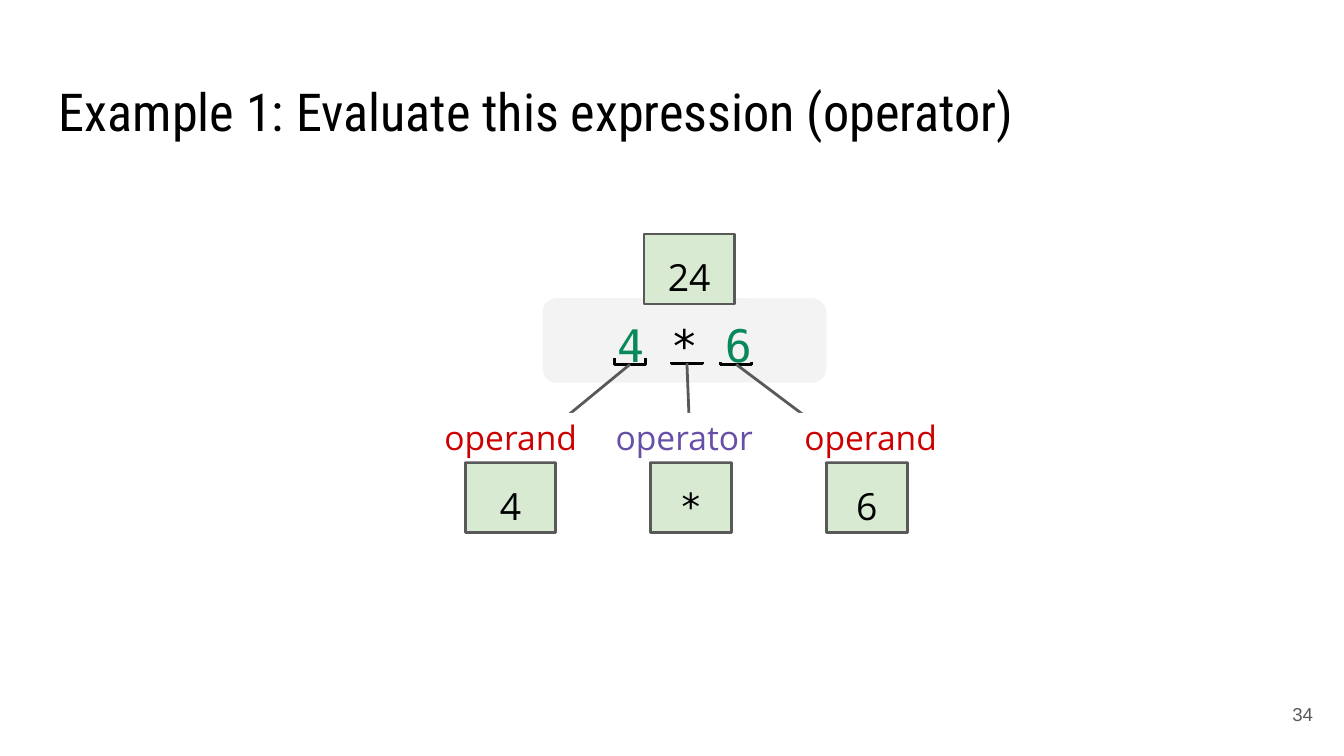
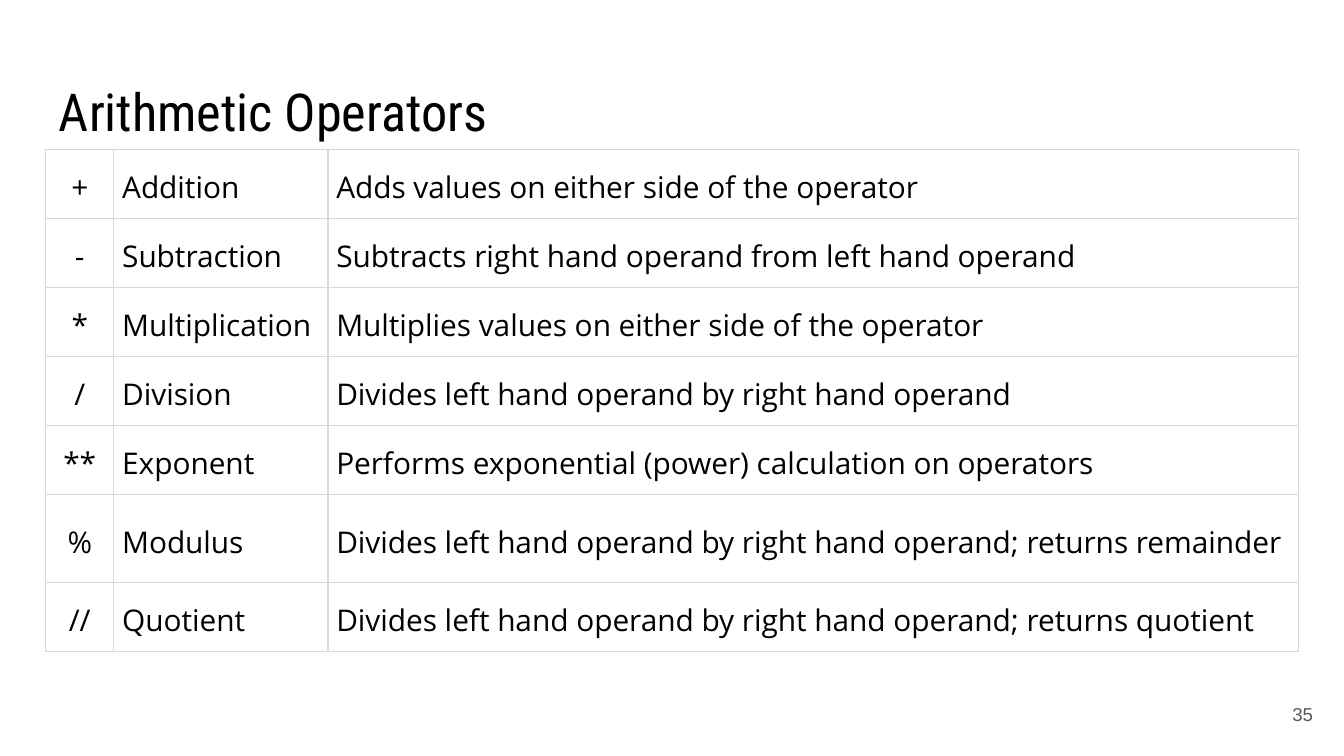
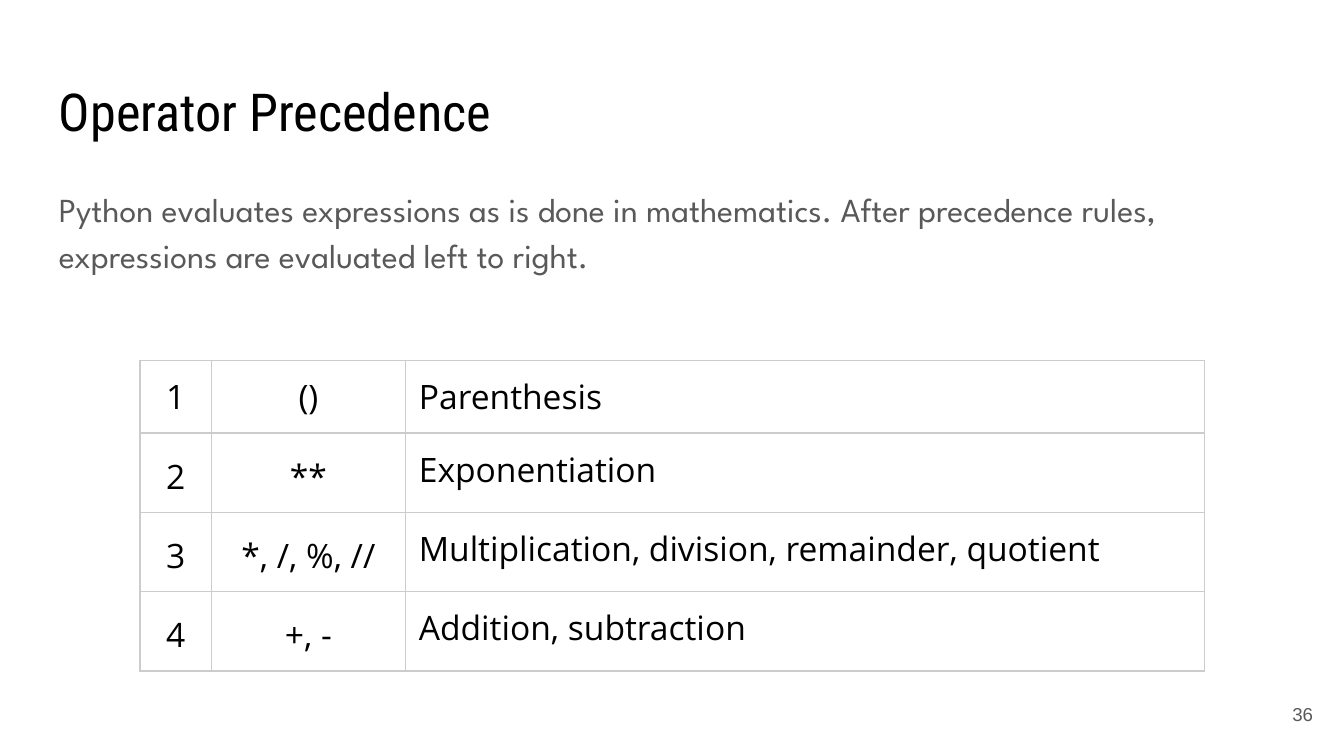
from lxml import etree
from pptx import Presentation
from pptx.dml.color import RGBColor
from pptx.enum.shapes import MSO_CONNECTOR, MSO_SHAPE
from pptx.enum.text import MSO_ANCHOR, PP_ALIGN
from pptx.oxml.ns import qn
from pptx.util import Pt

RECT, ROUND = MSO_SHAPE.RECTANGLE, MSO_SHAPE.ROUNDED_RECTANGLE
BRACKET = MSO_SHAPE.RIGHT_BRACKET
STRAIGHT = MSO_CONNECTOR.STRAIGHT
LEFT, CENTER, RIGHT = PP_ALIGN.LEFT, PP_ALIGN.CENTER, PP_ALIGN.RIGHT
TOP, MIDDLE = MSO_ANCHOR.TOP, MSO_ANCHOR.MIDDLE

# Shared style
BLACK, WHITE, GRAY = "000000", "FFFFFF", "595959"
PALE_GRAY, PALE_GREEN = "F3F3F3", "D9EAD3"
GREEN, RED, PURPLE = "09885A", "CC0000", "674EA7"
HEAD, BODY, SANS, MONO = "Roboto Condensed", "League Spartan", "Open Sans", "DejaVu Sans Mono"
MARGIN, CONTENT_W = 24.5, 671
INSET = 7.2
LINE_W = 1.5


def rgb(color):
    return RGBColor.from_string(color)


def write(tf, text, size=18, font=SANS, color=BLACK, align=LEFT, anchor=TOP,
          spacing=1.0, before=0, after=0, inset=INSET):
    """Fill a frame with one paragraph; text is a string or (text, color) runs."""
    tf.word_wrap = True
    tf.vertical_anchor = anchor
    tf.margin_left = tf.margin_right = tf.margin_top = tf.margin_bottom = Pt(inset)
    p = tf.paragraphs[0]
    p.alignment, p.line_spacing = align, spacing
    p.space_before, p.space_after = Pt(before), Pt(after)
    for part, part_color in [(text, color)] if isinstance(text, str) else text:
        r = p.add_run()
        r.text = part
        r.font.size, r.font.name = Pt(size), font
        r.font.color.rgb = rgb(part_color)


class Deck:
    def __init__(self):
        self.prs = Presentation()
        self.prs.slide_width, self.prs.slide_height = Pt(720), Pt(405)
        self.s = None

    def slide(self, title, number):
        self.s = self.prs.slides.add_slide(self.prs.slide_layouts[6])
        self.s.background.fill.solid()
        self.s.background.fill.fore_color.rgb = rgb(WHITE)
        self.text(MARGIN, 35.3, CONTENT_W, 45.2, title, size=28, font=HEAD)
        self.text(667.3, 367.2, 43.2, 31, str(number), size=10, font="Arial",
                  color=GRAY, align=RIGHT, anchor=MIDDLE)

    def text(self, x, y, w, h, text, **fmt):
        sp = self.s.shapes.add_textbox(Pt(x), Pt(y), Pt(w), Pt(h))
        write(sp.text_frame, text, **fmt)

    def shape(self, kind, x, y, w, h, fill=None, line=None, text=None, **fmt):
        sp = self.s.shapes.add_shape(kind, Pt(x), Pt(y), Pt(w), Pt(h))
        sp.shadow.inherit = False
        if fill:
            sp.fill.solid()
            sp.fill.fore_color.rgb = rgb(fill)
        else:
            sp.fill.background()
        if line:
            sp.line.color.rgb, sp.line.width = rgb(line), Pt(LINE_W)
        else:
            sp.line.fill.background()
        if text:
            write(sp.text_frame, text, align=CENTER, **fmt)
        return sp

    def value_box(self, x, y, w, text, font=SANS):
        return self.shape(RECT, x, y, w, 37.5, PALE_GREEN, GRAY, text,
                          size=20, font=font, spacing=1.15)

    def bracket(self, cx, bottom, depth, width=16.6):
        """Bracket under a token, turned so that it opens upwards."""
        sp = self.shape(BRACKET, cx - depth / 2, bottom - depth / 2 - width / 2,
                        depth, width, line=BLACK)
        sp.adjustments[0] = 0
        sp.rotation = 90

    def line_to_top(self, x, y, box):
        c = self.s.shapes.add_connector(STRAIGHT, Pt(x), Pt(y), Pt(x), Pt(y))
        c.end_connect(box, 0)
        c.line.color.rgb, c.line.width = rgb(GRAY), Pt(LINE_W)
        etree.SubElement(c._element.spPr, qn("a:effectLst"))

    def table(self, x, y, cols, heights, rows, border, aligns, spacing, **fmt):
        """spacing(row, col) gives the line spacing of a cell."""
        frame = self.s.shapes.add_table(len(rows), len(cols), Pt(x), Pt(y),
                                        Pt(sum(cols)), Pt(sum(heights)))
        tbl = frame.table
        tbl.first_row = tbl.horz_banding = False
        for col, w in zip(tbl.columns, cols):
            col.width = Pt(w)
        for row, h in zip(tbl.rows, heights):
            row.height = Pt(h)
        for i, row in enumerate(rows):
            for j, text in enumerate(row):
                cell = tbl.cell(i, j)
                write(cell.text_frame, text, align=aligns[j],
                      spacing=spacing(i, j), **fmt)
                self.cell_style(cell, border, fmt)

    def cell_style(self, cell, border, fmt):
        inset = Pt(fmt.get("inset", INSET))
        cell.margin_left = cell.margin_right = inset
        cell.margin_top = cell.margin_bottom = inset
        cell.vertical_anchor = fmt.get("anchor", TOP)
        tc_pr = cell._tc.get_or_add_tcPr()
        for side in ("lnL", "lnR", "lnT", "lnB"):
            ln = etree.SubElement(tc_pr, qn(f"a:{side}"), w=str(Pt(0.75)))
            fill = etree.SubElement(ln, qn("a:solidFill"))
            etree.SubElement(fill, qn("a:srgbClr"), val=border)
        cell.fill.background()


def expression_slide(d):
    d.slide("Example 1: Evaluate this expression (operator)", 34)
    d.shape(ROUND, 290.7, 159.8, 152, 45.2, PALE_GRAY,
            text=[("4 ", GREEN), ("* ", BLACK), ("6", GREEN)],
            size=24, font=MONO, anchor=MIDDLE, spacing=1.15)
    d.value_box(345, 125.4, 48.4, "24")

    # Each token: bracket centre, bottom and depth; box left and width; label centre
    tokens = [
        (337.5, 195.2, 3.6, 249.3, 48.4, "4", SANS, "operand", RED, 273.6),
        (394.4, 195.2, 1.4, 442.7, 43.4, "6", SANS, "operand", RED, 466.4),
        (368, 194.6, 0.7, 348.4, 43.4, "*", MONO, "operator", PURPLE, 366.6),
    ]
    label_w = 95
    for cx, bottom, depth, x, w, value, font, role, color, label_cx in tokens:
        d.bracket(cx, bottom, depth)
        box = d.value_box(x, 247.8, w, value, font)
        d.line_to_top(cx, bottom, box)
        d.shape(RECT, label_cx - label_w / 2, 221.2, label_w, 26, WHITE,
                text=role, color=color, anchor=MIDDLE)


def operators_slide(d):
    d.slide("Arithmetic Operators", 35)
    rows = [
        ("+", "Addition", "Adds values on either side of the operator"),
        ("-", "Subtraction", "Subtracts right hand operand from left hand operand"),
        ("*", "Multiplication", "Multiplies values on either side of the operator"),
        ("/", "Division", "Divides left hand operand by right hand operand"),
        ("**", "Exponent", "Performs exponential (power) calculation on operators"),
        ("%", "Modulus", "Divides left hand operand by right hand operand; returns remainder"),
        ("//", "Quotient", "Divides left hand operand by right hand operand; returns quotient"),
    ]
    heights = [47 if row[0] == "%" else 37 for row in rows]
    d.table(MARGIN, 80.1, [36.5, 114.7, 519.8], heights, rows, "D9D9D9",
            (CENTER, LEFT, LEFT), lambda i, j: 1.15,
            size=16, anchor=MIDDLE, before=9, inset=4.5)


def precedence_slide(d):
    d.slide("Operator Precedence", 36)
    d.text(MARGIN, 90.7, CONTENT_W, 86.4,
           "Python evaluates expressions as is done in mathematics. "
           "After precedence rules, expressions are evaluated left to right.",
           font=BODY, color=GRAY, spacing=1.15, after=16)
    rows = [
        ("1", "()", "Parenthesis"),
        ("2", "**", "Exponentiation"),
        ("3", "*, /, %, //", "Multiplication, division, remainder, quotient"),
        ("4", "+, -", "Addition, subtraction"),
    ]
    d.table(75, 193, [38.3, 103.9, 427.9], [39] + [42.5] * 3, rows, "CCCCCC",
            (CENTER, CENTER, LEFT), lambda i, j: 1.15 if i and j < 2 else 1.0)


def main():
    d = Deck()
    expression_slide(d)
    operators_slide(d)
    precedence_slide(d)
    d.prs.save("out.pptx")


if __name__ == "__main__":
    main()
